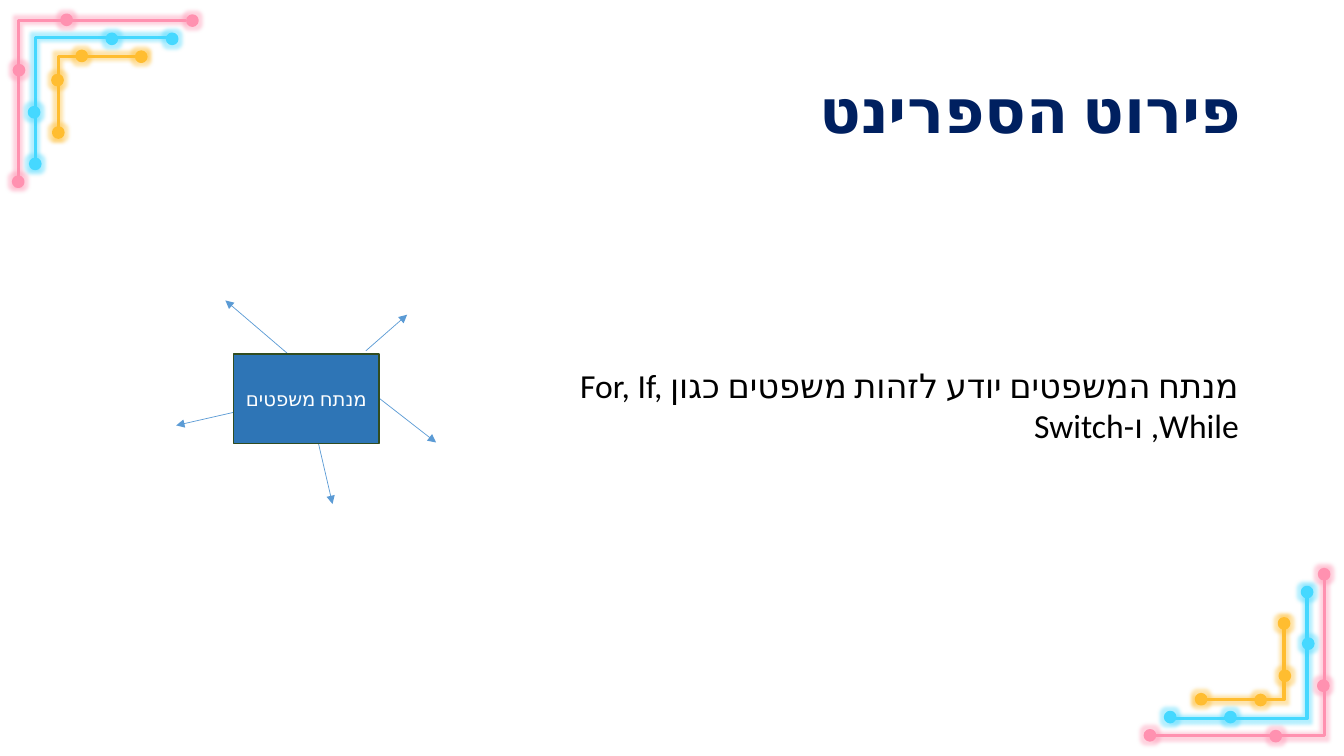
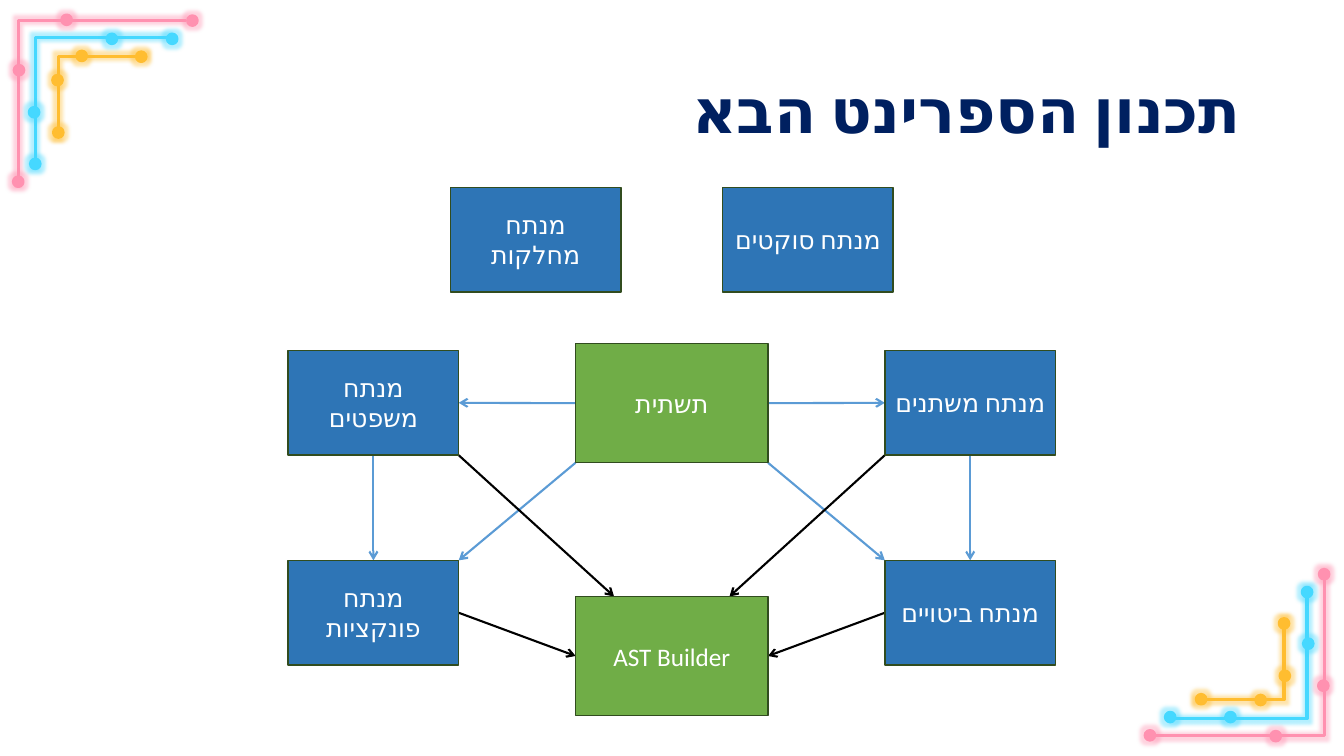
from dataclasses import dataclass

from lxml import etree
from pptx import Presentation
from pptx import util as u
from pptx.dml.color import RGBColor
from pptx.enum import lang, shapes, text
from pptx.oxml import ns


@dataclass(frozen=True)
class Theme:
    """Colours, fonts and type sizes shared by the slides."""
    title: str = "002060"
    body: str = "000000"
    on_fill: str = "FFFFFF"
    blue: str = "2E75B6"
    green: str = "70AD47"
    outline: str = "314C1F"
    flow: str = "5B9BD5"
    build: str = "000000"
    pink: str = "FF91B0"
    cyan: str = "45D8FF"
    amber: str = "FFBD30"
    heading_font: str = "Cabin"
    body_font: str = "Calibri"
    title_size: int = 44
    body_size: int = 24
    box_size: int = 18
    small_size: int = 14
    trace_width: float = 2.25
    glow_radius: int = 63500
    glow_alpha: int = 40000


@dataclass(frozen=True)
class Box:
    """A rectangle in centimetres."""
    left: float
    top: float
    width: float
    height: float

    def emu(self):
        return [u.Cm(n) for n in (self.left, self.top, self.width, self.height)]

    def at(self, across, down):
        """Point at the given fractions of the width and height."""
        return self.left + across * self.width, self.top + down * self.height

    def inner(self, left, top, width, height):
        return Box(self.left + left, self.top + top, width, height)


THEME = Theme()
SLIDE = Box(0, 0, 33.87, 19.05)
FRAME = Box(0, 0, 33.83, 19.05)
TITLE = Box(2.33, 1.01, 29.21, 3.68)
DOT = 0.24

# Each trace: colour, bend, end of the two arms, centres of the dots
TRACES = [
    (THEME.cyan, (0.89, 0.94), (4.27, 4.22),
     [(0.89, 4.13), (4.34, 0.98), (0.86, 2.83), (2.82, 0.98)]),
    (THEME.pink, (0.46, 0.51), (4.7, 4.65),
     [(0.46, 4.58), (4.85, 0.52), (1.68, 0.5), (0.48, 1.77)]),
    (THEME.amber, (1.47, 1.42), (3.68, 3.48),
     [(1.47, 3.34), (1.45, 2.02), (3.56, 1.43), (2.06, 1.41)]),
]


def rgb(colour):
    return RGBColor.from_string(colour)


def apply(target, values):
    for name, value in values.items():
        setattr(target, name, value)


def set_line(line, colour, width):
    line.color.rgb = rgb(colour)
    line.width = u.Pt(width)


def write(shape, words, size, colour, align, font=THEME.body_font,
          bold=False, spacing=1.0, anchor=text.MSO_ANCHOR.MIDDLE):
    """Put one right-to-left paragraph in a shape."""
    frame = shape.text_frame
    apply(frame, {"word_wrap": True, "vertical_anchor": anchor})
    para = frame.paragraphs[0]
    apply(para, {"alignment": align, "line_spacing": spacing})
    para._p.get_or_add_pPr().set("rtl", "1")
    span = para.add_run()
    span.text = words
    apply(span.font, {"name": font, "size": u.Pt(size), "bold": bold,
                      "language_id": lang.MSO_LANGUAGE_ID.HEBREW})
    span.font.color.rgb = rgb(colour)
    complex_script = etree.SubElement(span._r.get_or_add_rPr(), ns.qn("a:cs"))
    complex_script.set("typeface", font)


def add_text(page, box, words, size, colour, **style):
    shape = page.shapes.add_textbox(*box.emu())
    write(shape, words, size, colour, text.PP_ALIGN.RIGHT, **style)


def add_node(page, box, words, fill, size=THEME.box_size):
    node = page.shapes.add_shape(shapes.MSO_SHAPE.RECTANGLE, *box.emu())
    node.shadow.inherit = False
    node.fill.solid()
    node.fill.fore_color.rgb = rgb(fill)
    set_line(node.line, THEME.outline, 1)
    write(node, words, size, THEME.on_fill, text.PP_ALIGN.CENTER)


def add_arrow(page, start, end, colour, width, head):
    ends = [u.Cm(n) for n in (*start, *end)]
    arrow = page.shapes.add_connector(shapes.MSO_CONNECTOR.STRAIGHT, *ends)
    set_line(arrow.line, colour, width)
    tip = etree.SubElement(arrow.line._get_or_add_ln(), ns.qn("a:tailEnd"))
    tip.set("type", head)
    etree.SubElement(arrow._element.spPr, ns.qn("a:effectLst"))


def add_glow(shape, colour):
    shape.shadow.inherit = False
    effects = shape._element.spPr.find(ns.qn("a:effectLst"))
    glow = etree.SubElement(effects, ns.qn("a:glow"), rad=str(THEME.glow_radius))
    tint = etree.SubElement(glow, ns.qn("a:srgbClr"), val=colour)
    etree.SubElement(tint, ns.qn("a:alpha"), val=str(THEME.glow_alpha))


def corner_traces(page, frame, turned):
    """Glowing traces at the top left, or turned to the bottom right."""
    def place(x, y):
        if turned:
            x, y = frame.width - x, frame.height - y
        return frame.left + x, frame.top + y

    for colour, (bend_x, bend_y), (end_x, end_y), _ in TRACES:
        corners = [(bend_x, end_y), (bend_x, bend_y), (end_x, bend_y)]
        first, *rest = [tuple(u.Cm(n) for n in place(*c)) for c in corners]
        outline = page.shapes.build_freeform(*first)
        outline.add_line_segments(rest, close=False)
        trace = outline.convert_to_shape()
        trace.fill.background()
        set_line(trace.line, colour, THEME.trace_width)
        add_glow(trace, colour)

    for colour, _, _, centres in TRACES:
        for centre in centres:
            x, y = place(*centre)
            spot = Box(x - DOT / 2, y - DOT / 2, DOT, DOT)
            dot = page.shapes.add_shape(shapes.MSO_SHAPE.OVAL, *spot.emu())
            dot.fill.solid()
            dot.fill.fore_color.rgb = rgb(colour)
            set_line(dot.line, colour, THEME.trace_width)
            add_glow(dot, colour)


def new_page(deck, title):
    page = deck.slides.add_slide(deck.slide_layouts[6])
    for turned in (True, False):
        corner_traces(page, FRAME, turned)
    add_text(page, TITLE, title, THEME.title_size, THEME.title,
             font=THEME.heading_font, bold=True, spacing=0.9)
    return page


def analyzer_fan(page, box):
    """One analyzer with arrows going out of it."""
    rays = [
        ((1.45, 2.82), (0, 3.15)),
        ((2.82, 1.35), (1.24, 0)),
        ((4.78, 1.27), (5.82, 0.36)),
        ((3.58, 3.58), (3.94, 5.13)),
        ((5.11, 2.46), (6.55, 3.58)),
    ]
    for ray in rays:
        start, end = [(box.left + x, box.top + y) for x, y in ray]
        add_arrow(page, start, end, THEME.flow, 0.5, "triangle")
    add_node(page, box.inner(1.45, 1.35, 3.66, 2.26), "מנתח משפטים",
             THEME.blue, THEME.small_size)


def sprint_map(page, box):
    """Analyzers mirrored left and right around the two green parts."""
    width, height = 4.3, 2.64
    core_width, core_height = 4.85, 3
    upper, lower = 4.11, 9.4
    core_left = (box.width - core_width) / 2
    base = box.inner(core_left, 3.94, core_width, core_height)
    builder = box.inner(core_left, 10.31, core_width, core_height)

    def pair(inset, top):
        """Left and right boxes at equal distances from the edges."""
        return [box.inner(left, top, width, height)
                for left in (inset, box.width - inset - width)]

    tops, uppers, lowers = pair(4.09, 0), pair(0, upper), pair(0, lower)

    # Fractions are those of the right side; the left side mirrors them
    for side in (1, 0):
        above, below = uppers[side], lowers[side]
        edges = [
            (base, (1, 0.5), above, (0, 0.5), THEME.flow),
            (base, (1, 1), below, (0, 0), THEME.flow),
            (above, (0.5, 1), below, (0.5, 0), THEME.flow),
            (below, (0, 0.5), builder, (1, 0.5), THEME.build),
            (above, (0, 1), builder, (0.8, 0), THEME.build),
        ]
        for source, start, target, end, colour in edges:
            (x1, y1), (x2, y2) = start, end
            if not side:
                x1, x2 = 1 - x1, 1 - x2
            add_arrow(page, source.at(x1, y1), target.at(x2, y2),
                      colour, 1.5, "arrow")

    for spot, words in ((base, "תשתית"), (builder, "AST Builder")):
        add_node(page, spot, words, THEME.green)
    names = ["מנתח מחלקות", "מנתח סוקטים", "מנתח משפטים",
             "מנתח משתנים", "מנתח פונקציות", "מנתח ביטויים"]
    for spot, words in zip(tops + uppers + lowers, names):
        add_node(page, spot, words, THEME.blue)


def main():
    deck = Presentation()
    apply(deck, {"slide_width": u.Cm(SLIDE.width),
                 "slide_height": u.Cm(SLIDE.height)})

    page = new_page(deck, "פירוט הספרינט")
    analyzer_fan(page, Box(4.44, 7.57, 6.55, 5.13))
    add_text(page, Box(13.56, 9.07, 17.91, 2.31),
             "מנתח המשפטים יודע לזהות משפטים כגון For, If, While, ו-Switch",
             THEME.body_size, THEME.body, anchor=text.MSO_ANCHOR.TOP)

    page = new_page(deck, "תכנון הספרינט הבא")
    sprint_map(page, Box(7.26, 4.72, 19.34, 13.31))

    deck.save("out.pptx")


if __name__ == "__main__":
    main()
